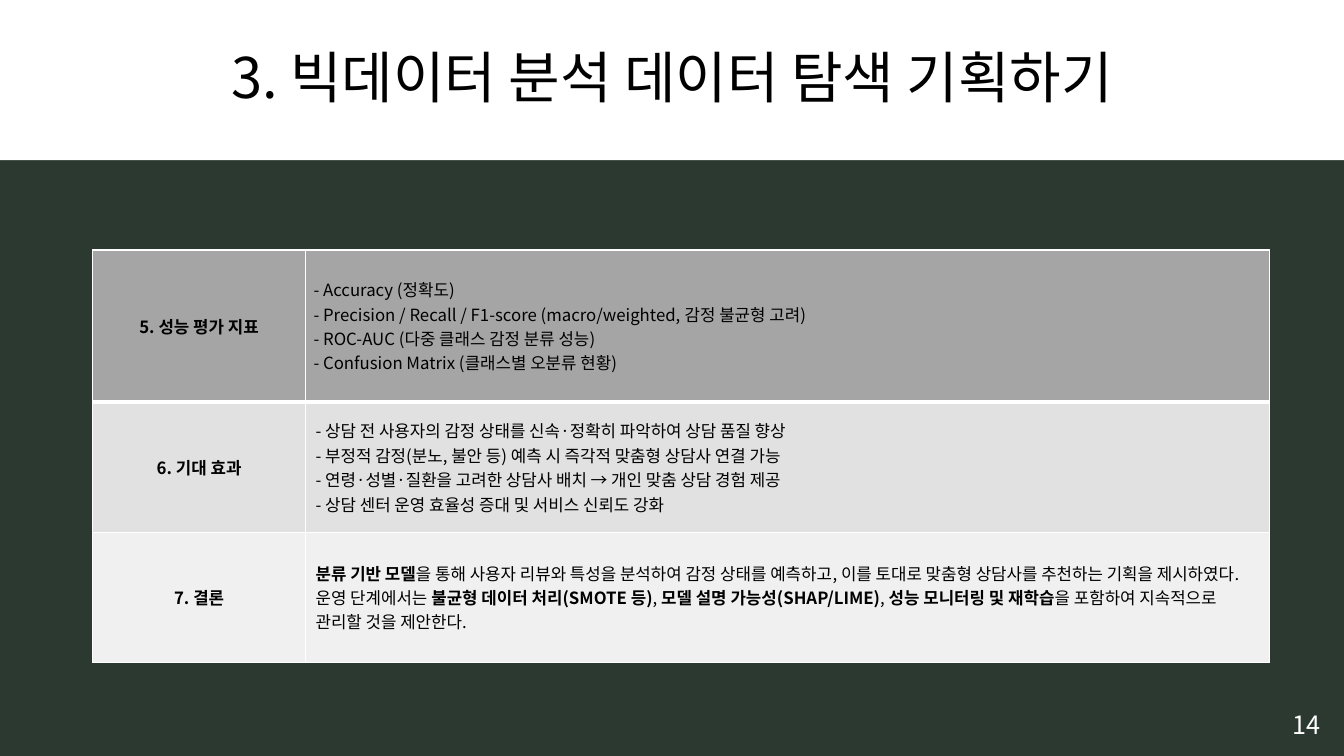
from dataclasses import dataclass

from lxml.etree import SubElement
from pptx import Presentation
from pptx.dml.color import RGBColor
from pptx.enum.shapes import MSO_SHAPE
from pptx.enum.text import MSO_ANCHOR, MSO_AUTO_SIZE, PP_ALIGN
from pptx.oxml.ns import qn
from pptx.util import Inches, Pt


@dataclass(frozen=True)
class Theme:
    font: str = "Noto Sans CJK KR"
    background: str = "2C3930"
    white: str = "FFFFFF"
    black: str = "000000"
    row_fills: tuple = ("A5A5A5", "E1E1E1", "F0F0F0")
    title_size: int = 40
    number_size: int = 18
    body_size: int = 12


def write(tf, runs, font, size, color, align=PP_ALIGN.LEFT, spacing=None):
    """Fill one paragraph with (text, bold) runs; a newline is a line break."""
    p = tf.paragraphs[0]
    p.alignment = align
    if spacing:
        p.line_spacing = spacing
    for text, bold in runs:
        for i, line in enumerate(text.split("\n")):
            if i:
                p.add_line_break()
            r = p.add_run()
            r.text = line
            r.font.name = font
            r.font.size = Pt(size)
            r.font.bold = bold
            r.font.color.rgb = RGBColor.from_string(color)
            SubElement(r.font._element, qn("a:ea"), typeface=font)


class SlideBuilder:
    def __init__(self, prs, theme):
        self.theme = theme
        self.slide = prs.slides.add_slide(prs.slide_layouts[6])
        fill = self.slide.background.fill
        fill.solid()
        fill.fore_color.rgb = RGBColor.from_string(theme.background)

    def title_band(self, text, width, height):
        t = self.theme
        sp = self.slide.shapes.add_shape(
            MSO_SHAPE.RECTANGLE, 0, 0, Inches(width), Inches(height))
        sp.shadow.inherit = False
        sp.fill.solid()
        sp.fill.fore_color.rgb = RGBColor.from_string(t.white)
        sp.line.fill.background()
        sp.text_frame.vertical_anchor = MSO_ANCHOR.MIDDLE
        write(sp.text_frame, [(text, False)], t.font, t.title_size, t.black,
              align=PP_ALIGN.CENTER, spacing=0.9)

    def page_number(self, text, left, top, width, height):
        t = self.theme
        sp = self.slide.shapes.add_textbox(*map(Inches, (left, top, width, height)))
        tf = sp.text_frame
        tf.word_wrap = True
        tf.auto_size = MSO_AUTO_SIZE.SHAPE_TO_FIT_TEXT
        write(tf, [(text, False)], t.font, t.number_size, t.white,
              align=PP_ALIGN.CENTER)

    def border(self, cell, side, width):
        ln = SubElement(cell._tc.get_or_add_tcPr(), qn(f"a:ln{side}"), w=str(Pt(width)))
        SubElement(SubElement(ln, qn("a:solidFill")), qn("a:srgbClr"),
                   val=self.theme.white)

    def table(self, rows, left, top, col_widths, row_heights):
        t = self.theme
        table = self.slide.shapes.add_table(
            len(rows), len(col_widths), Inches(left), Inches(top),
            Inches(sum(col_widths)), Inches(sum(row_heights))).table
        table.first_row = table.horz_banding = False
        for col, width in zip(table.columns, col_widths):
            col.width = Inches(width)
        for i, (label, runs) in enumerate(rows):
            table.rows[i].height = Inches(row_heights[i])
            for j, content in enumerate(([(label, True)], runs)):
                cell = table.cell(i, j)
                cell.vertical_anchor = MSO_ANCHOR.MIDDLE
                # The rule below the first row is heavier
                widths = {"L": 1, "R": 1, "T": 3 if i == 1 else 1,
                          "B": 3 if i == 0 else 1}
                for side, width in widths.items():
                    self.border(cell, side, width)
                cell.fill.solid()
                cell.fill.fore_color.rgb = RGBColor.from_string(t.row_fills[i])
                write(cell.text_frame, content, t.font, t.body_size, t.black,
                      align=PP_ALIGN.LEFT if j else PP_ALIGN.CENTER)
        return table


METRICS = """- Accuracy (정확도)
- Precision / Recall / F1-score (macro/weighted, 감정 불균형 고려)
- ROC-AUC (다중 클래스 감정 분류 성능)
- Confusion Matrix (클래스별 오분류 현황)"""

EFFECTS = """- 상담 전 사용자의 감정 상태를 신속·정확히 파악하여 상담 품질 향상
- 부정적 감정(분노, 불안 등) 예측 시 즉각적 맞춤형 상담사 연결 가능
- 연령·성별·질환을 고려한 상담사 배치 → 개인 맞춤 상담 경험 제공
- 상담 센터 운영 효율성 증대 및 서비스 신뢰도 강화"""

CONCLUSION = [
    ("분류 기반 모델", True),
    ("을 통해 사용자 리뷰와 특성을 분석하여 감정 상태를 예측하고, 이를 토대로 "
     "맞춤형 상담사를 추천하는 기획을 제시하였다. 운영 단계에서는 ", False),
    ("불균형 데이터 처리(SMOTE 등)", True),
    (", ", False),
    ("모델 설명 가능성(SHAP/LIME)", True),
    (", ", False),
    ("성능 모니터링 및 재학습", True),
    ("을 포함하여 지속적으로 관리할 것을 제안한다.", False),
]

ROWS = [
    ("5. 성능 평가 지표", [(METRICS, False)]),
    ("6. 기대 효과", [(EFFECTS, False)]),
    ("7. 결론", CONCLUSION),
]


def main():
    prs = Presentation()
    prs.slide_width, prs.slide_height = Inches(13.33), Inches(7.5)
    s = SlideBuilder(prs, Theme())

    # Title and page number
    s.title_band("3. 빅데이터 분석 데이터 탐색 기획하기", 13.33, 1.59)
    s.page_number("14", 12.59, 6.99, 0.74, 0.4)

    # Plan table
    table = s.table(ROWS, 0.92, 2.48, (2.11, 9.56), (1.51, 1.29, 1.29))
    metrics = table.cell(0, 1)
    metrics.margin_left = metrics.margin_right = Inches(0.08)
    metrics.margin_top = metrics.margin_bottom = Inches(0.08)

    prs.save("out.pptx")


if __name__ == "__main__":
    main()
